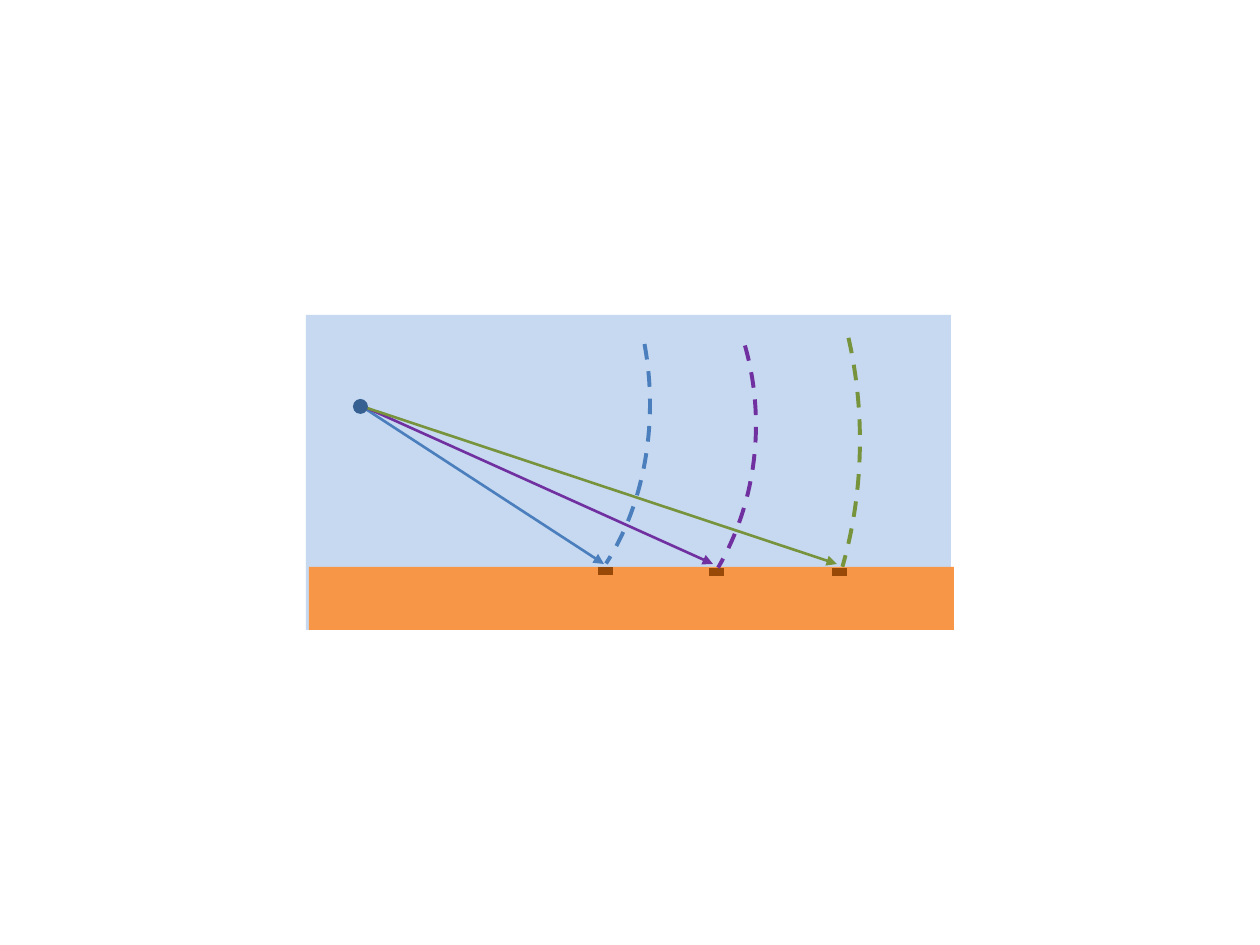
from lxml import etree
from pptx import Presentation
from pptx import util as u
from pptx.dml.color import RGBColor
from pptx.enum import dml, shapes
from pptx.oxml.ns import qn

SCALE = u.Inches(1) / 126
KIND = shapes.MSO_SHAPE

# colour, ray start x, ray tip x, receiver (x, y), wavefront box, arc end in degrees
WAVES = [
    ("4B7EBC", 358, 604, (598, 571), (316, 168, 334, 472), 52.34),
    ("7030A0", 358, 713, (709, 572), (306, 168, 450, 514), 37.32),
    ("77933C", 355, 837, (832, 572), (284, 73, 576, 735), 25.02),
]
ARC_START = 339.63


def px(*nums):
    return [u.Emu(round(n * SCALE)) for n in nums]


def rgb(code):
    return RGBColor.from_string(code)


def add_solid(slide, kind, box, color):
    shape = slide.shapes.add_shape(kind, *px(*box))
    shape.shadow.inherit = False
    shape.fill.solid()
    shape.fill.fore_color.rgb = rgb(color)
    shape.line.fill.background()


def add_line(slide, ends, color, width, arrow=False):
    line = slide.shapes.add_connector(shapes.MSO_CONNECTOR.STRAIGHT, *px(*ends))
    line.line.color.rgb = rgb(color)
    line.line.width = u.Pt(width)
    if arrow:
        ln = line.line._get_or_add_ln()
        etree.SubElement(ln, qn("a:tailEnd"), type="triangle")
    etree.SubElement(line._element.spPr, qn("a:effectLst"))


def add_front(slide, box, end, color):
    """Draw a dashed wavefront arc from ARC_START to end, in degrees."""
    arc = slide.shapes.add_shape(KIND.ARC, *px(*box))
    arc.shadow.inherit = False
    arc.fill.background()
    # An arc adjustment of 0.6 is one degree.
    arc.adjustments[0] = ARC_START * 0.6
    arc.adjustments[1] = end * 0.6
    arc.line.color.rgb = rgb(color)
    arc.line.width = u.Pt(2.25)
    arc.line.dash_style = dml.MSO_LINE.DASH


def main():
    prs = Presentation()
    prs.slide_width, prs.slide_height = px(1260, 945)
    slide = prs.slides.add_slide(prs.slide_layouts[6])

    add_solid(slide, KIND.RECTANGLE, (306, 315, 645, 315), "C6D9F1")
    add_solid(slide, KIND.RECTANGLE, (309, 567, 645, 63), "F79646")
    for color, start, tip, *_ in WAVES:
        add_line(slide, (start, 404, tip, 564), color, 1.5, arrow=True)
    add_solid(slide, KIND.OVAL, (353, 399, 15, 15), "376092")
    for *_, (x, y), _box, _end in WAVES:
        add_line(slide, (x, y, x + 15, y), "984807", 4.5)
    for color, *_, box, end in WAVES:
        add_front(slide, box, end, color)

    prs.save("out.pptx")


if __name__ == "__main__":
    main()
